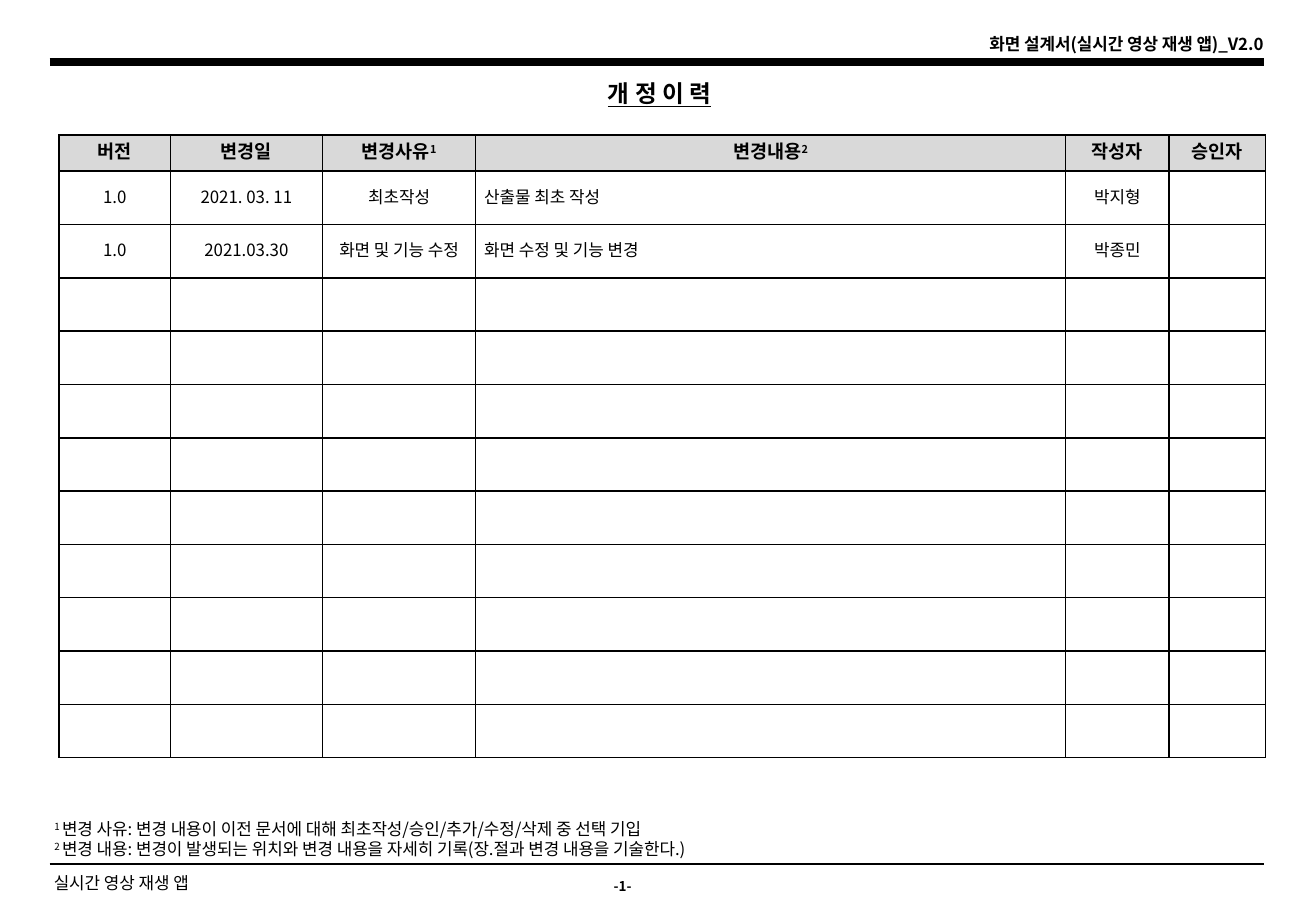
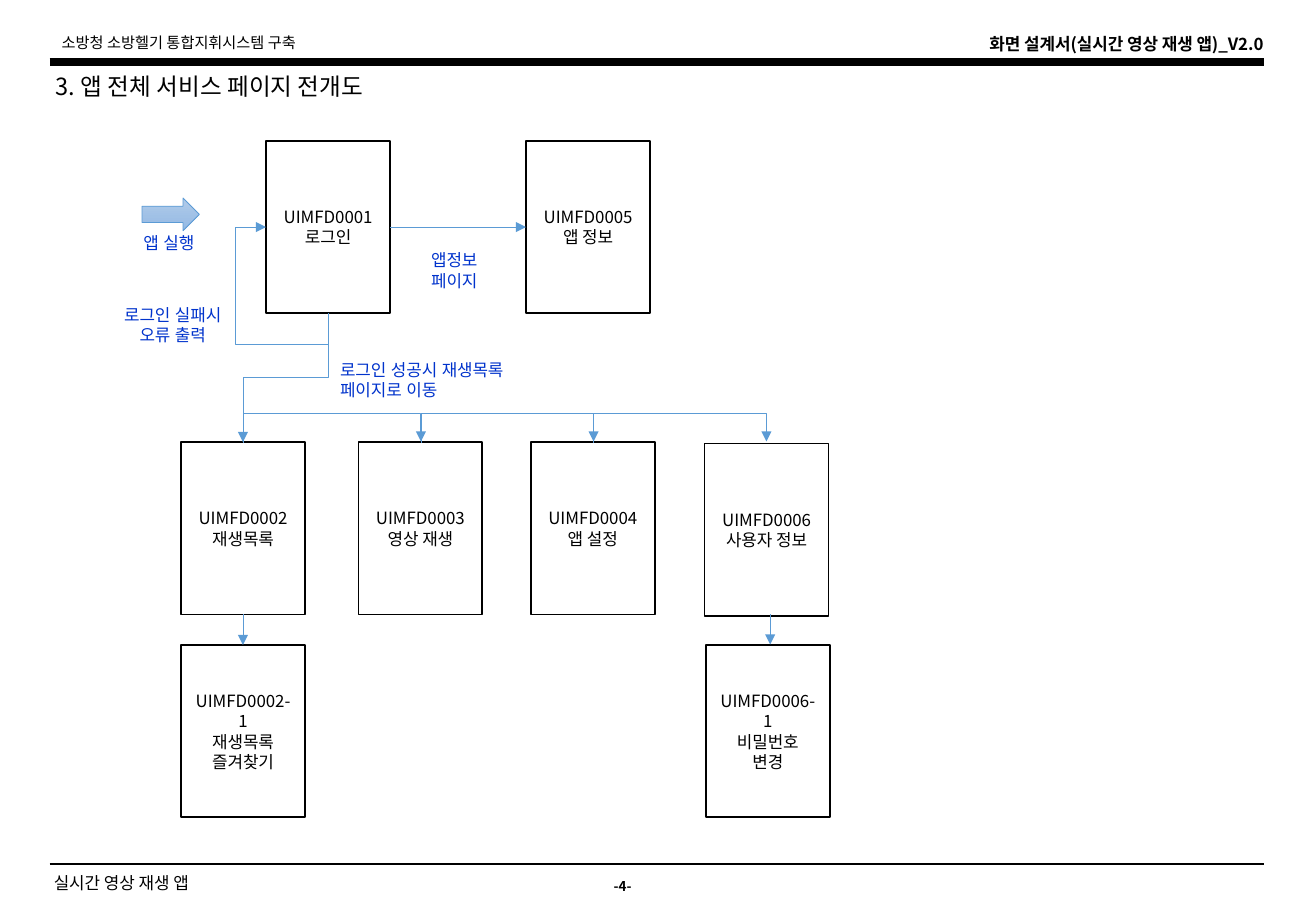
"""Builds two pages of an app screen specification: revision history and page flow."""
from lxml import etree
from pptx import Presentation
from pptx.dml.color import RGBColor
from pptx.enum.shapes import MSO_CONNECTOR as LINK, MSO_SHAPE as SHAPE
from pptx.enum.text import MSO_ANCHOR as ANCHOR, MSO_AUTO_SIZE as AUTO, PP_ALIGN as ALIGN
from pptx.oxml import parse_xml
from pptx.oxml.ns import nsdecls, qn
from pptx.util import Pt

KOREAN, LATIN = "Noto Sans CJK KR", "Arial"
BLACK, WHITE, GREY = "000000", "FFFFFF", "D9D9D9"
FLOW_BLUE, LABEL_BLUE = "5B9BD5", "0033CC"
LEFT, CENTER, RIGHT = ALIGN.LEFT, ALIGN.CENTER, ALIGN.RIGHT
hex_color = RGBColor.from_string


def write(frame, text, size=10, align=LEFT, bold=False, color=BLACK, font=KOREAN):
    """Fill a frame; newline parts paragraphs, | parts runs and ^ raises a run."""
    frame.text = ""
    for number, line in enumerate(text.split("\n")):
        paragraph = frame.add_paragraph() if number else frame.paragraphs[0]
        paragraph.alignment = align
        paragraph.line_spacing = Pt(1.2 * size)
        paragraph.space_before = Pt(0)
        for piece in line.split("|"):
            run = paragraph.add_run()
            run.text = piece.lstrip("^")
            run.font.size, run.font.bold, run.font.name = Pt(size), bold, font
            run.font.color.rgb = hex_color(color)
            properties = run.font._element
            etree.SubElement(properties, qn("a:ea")).set("typeface", font)
            if piece.startswith("^"):
                properties.set("baseline", "30000")


def connect(slide, start, end, color, width, arrow=False, bends=()):
    """Draw a straight line, or an elbow turned by 90 degrees when bends are given."""
    (x1, y1), (x2, y2) = start, end
    if bends:
        mid_x, mid_y = (x1 + x2) / 2, (y1 + y2) / 2
        half_w, half_h = (y2 - y1) / 2, (x1 - x2) / 2
        x1, x2 = mid_x - half_w, mid_x + half_w
        y1, y2 = mid_y - half_h, mid_y + half_h
    kind = LINK.ELBOW if bends else LINK.STRAIGHT
    link = slide.shapes.add_connector(kind, Pt(x1), Pt(y1), Pt(x2), Pt(y2))
    link.line.color.rgb = hex_color(color)
    link.line.width = Pt(width)
    geometry = link.element.spPr
    if bends:
        geometry.find(qn("a:xfrm")).set("rot", "5400000")
        preset = geometry.find(qn("a:prstGeom"))
        preset.set("prst", f"bentConnector{len(bends) + 2}")
        for number, bend in enumerate(bends, 1):
            guide = etree.SubElement(preset.find(qn("a:avLst")), qn("a:gd"))
            guide.set("name", f"adj{number}")
            guide.set("fmla", f"val {round(bend * 100000)}")
    if arrow:
        etree.SubElement(geometry.find(qn("a:ln")), qn("a:tailEnd")).set("type", "triangle")
    etree.SubElement(geometry, qn("a:effectLst"))


deck = Presentation()
deck.slide_width, deck.slide_height = Pt(780), Pt(540)

DEFAULT_INSET, NO_INSET = (7.2, 3.6), (0, 0)
label_style = dict(color=LABEL_BLUE, font=LATIN)
centered_label = dict(label_style, align=CENTER)
shared_texts = [
    ((390, 16.5, 366, 19.5), "화면 설계서(실시간 영상 재생 앱)_V2.0", DEFAULT_INSET,
     dict(bold=True, align=RIGHT)),
    ((29, 514, 299, 19.5), "실시간 영상 재생 앱", (2.9, 3.6), {}),
]
history_texts = [
    ((25.2, 481.7, 436, 31.7),
     "^1 |변경 사유: 변경 내용이 이전 문서에 대해 최초작성/승인/추가/수정/삭제 중 선택 기입\n"
     "^2 |변경 내용: 변경이 발생되는 위치와 변경 내용을 자세히 기록(장.절과 변경 내용을 기술한다.)",
     DEFAULT_INSET, {}),
]
flow_texts = [
    ((29.5, 16.5, 336, 17.3), "소방청 소방헬기 통합지휘시스템 구축", DEFAULT_INSET, dict(size=9)),
    ((76.3, 138.2, 47.5, 12.2), "앱 실행", NO_INSET, centered_label),
    ((245.5, 148.3, 47.5, 24.5), "앱정보 페이지", NO_INSET, centered_label),
    ((201.6, 213.1, 102.2, 24.5), "로그인 성공시 재생목록 페이지로 이동", NO_INSET, label_style),
    ((41.8, 180.7, 121, 24.5), "로그인 실패시\n오류 출력", NO_INSET, centered_label),
]
pages = [
    ("-1-", "개 정 이 력", (287.3, 43.2, 207.4, 23), dict(bold=True, align=CENTER), history_texts),
    ("-4-", "3. |앱 전체 서비스 페이지 전개도", (25.9, 38.9, 223.2, 23), {}, flow_texts),
]

slides = []
for page_number, heading, heading_box, heading_style, page_texts in pages:
    slide = deck.slides.add_slide(deck.slide_layouts[5])
    slides.append(slide)
    connect(slide, (29.5, 36.7), (749, 36.7), BLACK, 4.5)
    connect(slide, (29.5, 512), (749.5, 512), BLACK, 1)

    title = slide.shapes.title
    title.left, title.top, title.width, title.height = map(Pt, heading_box)
    title.text_frame.auto_size = AUTO.NONE
    title.text_frame.vertical_anchor = ANCHOR.TOP
    write(title.text_frame, heading, 14, **heading_style)

    number_text = ((353.5, 517, 31, 16.5), page_number, DEFAULT_INSET,
                   dict(size=8, bold=True, align=CENTER))
    for box, text, (inset_x, inset_y), style in shared_texts + [number_text] + page_texts:
        frame = slide.shapes.add_textbox(*map(Pt, box)).text_frame
        frame.word_wrap = True
        frame.margin_left, frame.margin_top, frame.margin_bottom = Pt(inset_x), Pt(inset_y), Pt(inset_y)
        frame.margin_right = Pt(7.2 if inset_x else 0)
        write(frame, text, **style)

history, flow = slides
history.shapes.title.text_frame.paragraphs[0].runs[0].font.underline = True
flow.shapes.title.text_frame.paragraphs[0].runs[1].font.name = LATIN

columns = [66, 90, 91, 349.5, 61.5, 57]
row_heights = [21.5] + [22.6] * 11
revisions = [
    ["버전", "변경일", "변경사유|^1", "변경내용|^2", "작성자", "승인자"],
    ["1.0", "2021. 03. 11", "최초작성", "산출물 최초 작성", "박지형", ""],
    ["1.0", "2021.03.30", "화면 및 기능 수정", "화면 수정 및 기능 변경", "박종민", ""],
] + [[""] * 6] * 9
table = history.shapes.add_table(len(row_heights), len(columns), Pt(35), Pt(80),
                                 Pt(sum(columns)), Pt(sum(row_heights))).table
table.first_row = table.horz_banding = False
for column, width in zip(table.columns, columns):
    column.width = Pt(width)
for row_number, (row, height, texts) in enumerate(zip(table.rows, row_heights, revisions)):
    row.height = Pt(height)
    is_header = row_number == 0
    for column_number, (cell, text) in enumerate(zip(row.cells, texts)):
        is_description = column_number == 3 and not is_header
        write(cell.text_frame, text, 11 if is_header else 10,
              LEFT if is_description else CENTER, bold=is_header)
        cell.vertical_anchor = ANCHOR.MIDDLE
        wide = is_header or column_number < 2
        cell.margin_left = cell.margin_right = Pt(7.2 if wide else 5)
        cell.margin_top = cell.margin_bottom = Pt(3.6 if wide else 5)
        cell_properties = cell._tc.get_or_add_tcPr()
        for side in ("lnL", "lnR", "lnT", "lnB"):
            cell_properties.append(parse_xml(
                f'<a:{side} {nsdecls("a")} w="12700"><a:solidFill>'
                f'<a:srgbClr val="{BLACK}"/></a:solidFill></a:{side}>'))
        if is_header:
            cell.fill.solid()
            cell.fill.fore_color.rgb = hex_color(GREY)
        else:
            cell.fill.background()

screens = [
    (157.7, 83.5, "UIMFD0001\n로그인"),
    (311.8, 83.5, "UIMFD0005\n앱 정보"),
    (107.3, 262, "UIMFD0002\n재생목록"),
    (212.4, 262, "UIMFD0003\n영상 재생"),
    (314.6, 262, "UIMFD0004\n앱 설정"),
    (417.6, 262.8, "UIMFD0006\n사용자 정보"),
    (107.3, 382.3, "UIMFD0002-1\n재생목록\n즐겨찾기"),
    (418.3, 382.3, "UIMFD0006-1\n비밀번호\n변경"),
]
for left, top, text in screens:
    screen = flow.shapes.add_shape(SHAPE.RECTANGLE, Pt(left), Pt(top), Pt(73.5), Pt(102.2))
    screen.shadow.inherit = False
    screen.fill.solid()
    screen.fill.fore_color.rgb = hex_color(WHITE)
    screen.line.color.rgb = hex_color(BLACK)
    screen.line.width = Pt(1)
    screen.text_frame.word_wrap = True
    screen.text_frame.vertical_anchor = ANCHOR.MIDDLE
    write(screen.text_frame, text, align=CENTER)

launch = flow.shapes.add_shape(SHAPE.RIGHT_ARROW, Pt(84.2), Pt(117.4), Pt(34), Pt(19.4))
launch.shadow.inherit = False
launch.fill.gradient()
launch.fill.gradient_angle = 270
for stop, shade in zip(launch.fill.gradient_stops, ("B1CBE9", "93B9E4")):
    stop.color.rgb = hex_color(shade)
launch.line.color.rgb = hex_color(FLOW_BLUE)
launch.line.width = Pt(0.5)

login_exit, list_entry = (194.4, 185.8), (144, 262)
routes = [
    ((231.2, 134.6), (311.8, 134.6), ()),
    (login_exit, list_entry, (0.5,)),
    (login_exit, (157.7, 134.6), (-0.353, 1.488)),
    ((144, 364.2), (144, 382.3), ()),
    ((456.5, 364.2), (456.5, 382), ()),
]
entries = [144.4, 249.5, 351.8, 454.3]
routes += [((here, 262.7), (following, 261.7), (18,))
           for here, following in zip(entries, entries[1:])]
for start, end, bends in routes:
    connect(flow, start, end, FLOW_BLUE, 0.5, True, bends)

deck.save("out.pptx")
